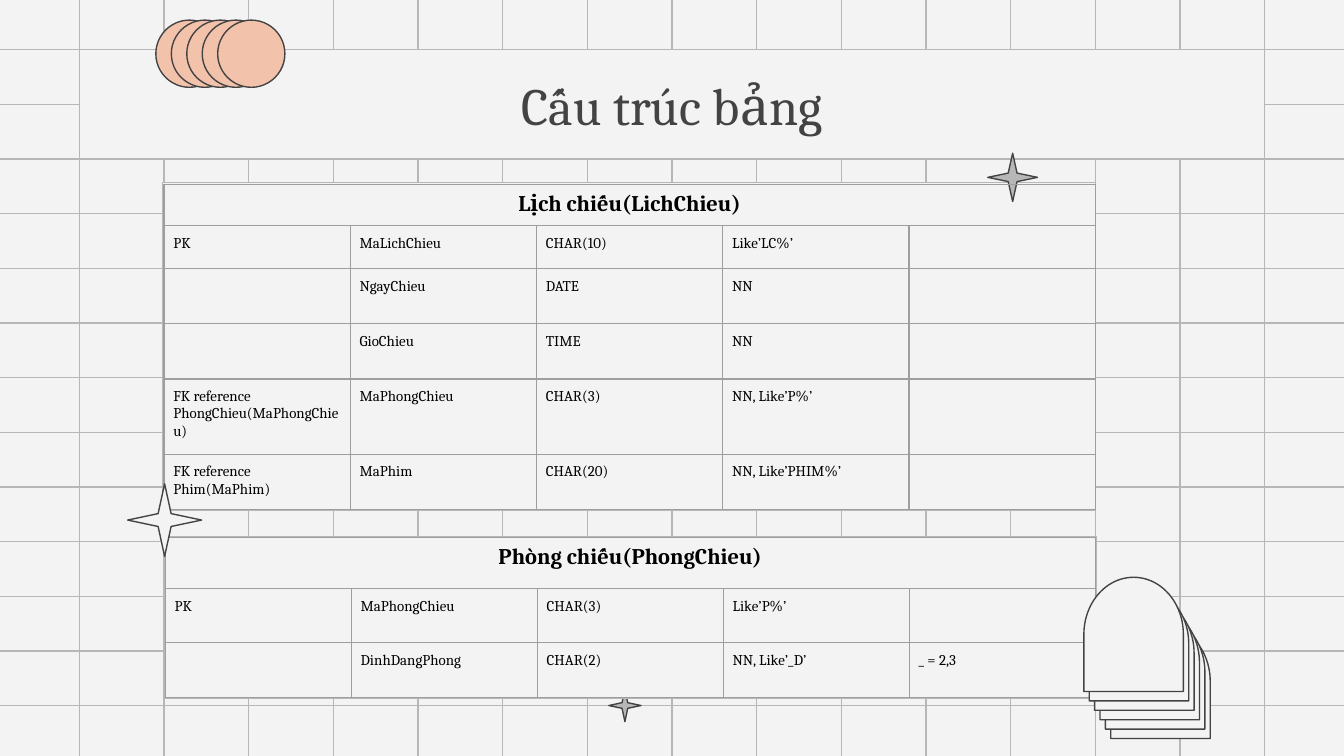
from lxml import etree
from pptx import Presentation
from pptx import util as u
from pptx.dml.color import RGBColor
from pptx.enum import shapes, text
from pptx.oxml import ns

FONT = "Cambria"
PAPER, GRID, INK, PEACH, BORDER = "F3F3F3", "B7B7B7", "434343", "F2C2AB", "9E9E9E"
SHAPE = shapes.MSO_SHAPE

TITLE = "Cấu trúc bảng"
SHOWTIMES = {
    "heading": "Lịch chiếu(LichChieu)",
    "at": (1.22, 1.37), "width": 6.93,
    "heights": (0.31, 0.32, 0.41, 0.41, 0.56, 0.41),
    "panel": (1.21, 1.36, 6.94, 2.44),
    "rows": [
        ("PK", "MaLichChieu", "CHAR(10)", "Like’LC%’", ""),
        ("", "NgayChieu", "DATE", "NN", ""),
        ("", "GioChieu", "TIME", "NN", ""),
        ("FK reference PhongChieu(MaPhongChieu)", "MaPhongChieu", "CHAR(3)", "NN, Like’P%’", ""),
        ("FK reference Phim(MaPhim)", "MaPhim", "CHAR(20)", "NN, Like’PHIM%’", ""),
    ],
}
ROOMS = {
    "heading": "Phòng chiếu(PhongChieu)",
    "at": (1.23, 4), "width": 6.92,
    "heights": (0.38, 0.4, 0.41),
    "panel": (1.22, 3.99, 6.94, 1.21),
    "rows": [
        ("PK", "MaPhongChieu", "CHAR(3)", "Like’P%’", ""),
        ("", "DinhDangPhong", "CHAR(2)", "NN, Like’_D’", "_ = 2,3"),
    ],
}

# Widescreen 16:9
prs = Presentation()
prs.slide_width, prs.slide_height = u.Inches(10), u.Inches(10 * 9 / 16)
slide = prs.slides.add_slide(prs.slide_layouts[6])


def color(value):
    return RGBColor.from_string(value)


slide.background.fill.solid()
slide.background.fill.fore_color.rgb = color(PAPER)


def add_line(x1, y1, x2, y2):
    line = slide.shapes.add_connector(
        shapes.MSO_CONNECTOR.STRAIGHT, *(u.Inches(v) for v in (x1, y1, x2, y2)))
    line.line.color.rgb = color(GRID)
    line.line.width = u.Pt(0.75)
    etree.SubElement(line._element.spPr, ns.qn("a:effectLst"))


def add_shape(kind, box, fill=PAPER, line=INK, rotation=0):
    shape = slide.shapes.add_shape(kind, *(u.Inches(v) for v in box))
    shape.shadow.inherit = False
    shape.fill.solid()
    shape.fill.fore_color.rgb = color(fill)
    shape.line.color.rgb = color(line)
    shape.line.width = u.Pt(0.75)
    shape.rotation = rotation
    return shape


def add_star(box, fill):
    add_shape(SHAPE.STAR_4_POINT, box, fill).adjustments[0] = 0.125


def write(frame, words, size, ink="000000", bold=False, align=text.PP_ALIGN.LEFT, after=0):
    paragraph = frame.paragraphs[0]
    paragraph.alignment = align
    paragraph.space_after = u.Pt(after)
    if not words:  # keeps an empty cell from growing its row
        paragraph._p.get_or_add_endParaRPr().set("sz", str(size * 100))
        return
    run = paragraph.add_run()
    run.text = words
    run.font.name, run.font.size, run.font.bold = FONT, u.Pt(size), bold
    run.font.color.rgb = color(ink)


def style_cell(cell, margin_x, margin_y):
    cell.margin_left = cell.margin_right = u.Inches(margin_x)
    cell.margin_top = cell.margin_bottom = u.Inches(margin_y)
    properties = cell._tc.get_or_add_tcPr()
    for side in ("lnL", "lnR", "lnT", "lnB"):
        edge = etree.SubElement(properties, ns.qn("a:" + side), w=str(u.Pt(0.75)))
        paint = etree.SubElement(edge, ns.qn("a:solidFill"))
        etree.SubElement(paint, ns.qn("a:srgbClr"), val=BORDER)
    cell.fill.background()


def add_schema(schema):
    heights, columns = schema["heights"], len(schema["rows"][0])
    box = (*schema["at"], schema["width"], sum(heights))
    table = slide.shapes.add_table(len(heights), columns, *(u.Inches(v) for v in box)).table
    table.first_row = table.horz_banding = False
    for column in table.columns:
        column.width = u.Inches(schema["width"] / columns)
    for row, height in zip(table.rows, heights):
        row.height = u.Inches(height)
    for i, cell in enumerate(table.iter_cells()):
        style_cell(cell, *((0.1, 0.05) if i < columns else (0.07, 0.07)))
    heading = table.cell(0, 0)
    heading.merge(table.cell(0, columns - 1))
    write(heading.text_frame, schema["heading"], 12, bold=True, align=text.PP_ALIGN.CENTER)
    for r, values in enumerate(schema["rows"], 1):
        for c, value in enumerate(values):
            write(table.cell(r, c).text_frame, value, 8, after=8)


# Background grid
for i in range(15):
    x = 0.59 + 0.63 * i
    add_line(x, -0.03, x, 5.66)
for i in range(13):
    y = 0.37 + 0.4067 * i
    add_line(-0.04, y, 10.04, y)
add_star((4.53, 5.13, 0.24, 0.24), GRID)

# Title
banner = add_shape(SHAPE.RECTANGLE, (0.59, 0.37, 8.82, 0.81), line=GRID)
banner.text_frame.word_wrap = True
banner.text_frame.vertical_anchor = text.MSO_ANCHOR.MIDDLE
write(banner.text_frame, TITLE, 28, ink=INK, align=text.PP_ALIGN.CENTER)

# Row of circles
for i in range(5):
    add_shape(SHAPE.OVAL, (1.16 + 0.115 * i, 0.15, 0.5, 0.5), PEACH)

# Tables on their panels, with stars
add_shape(SHAPE.RECTANGLE, SHOWTIMES["panel"], line=GRID)
add_star((7.35, 1.14, 0.37, 0.36), GRID)
add_schema(SHOWTIMES)
add_shape(SHAPE.RECTANGLE, ROOMS["panel"], line=GRID)
add_schema(ROOMS)
add_star((0.95, 3.6, 0.55, 0.54), PAPER)

# Stack of arches, rearmost first
for i in reversed(range(6)):
    add_shape(SHAPE.FLOWCHART_DELAY, (8.01 + 0.04 * i, 4.35 + 0.07 * i, 0.85, 0.74),
              rotation=270)

prs.save("out.pptx")
